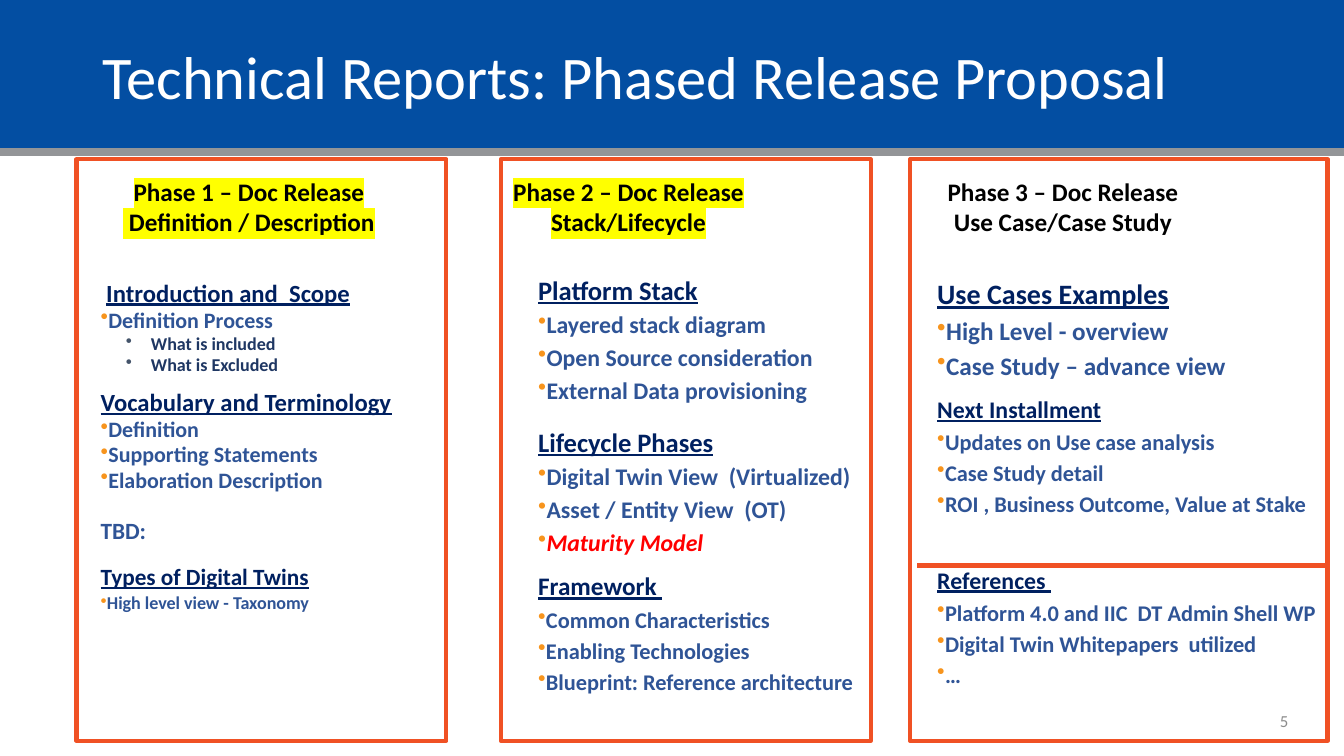
from dataclasses import dataclass, field

from lxml import etree
from pptx import Presentation
from pptx.dml.color import RGBColor
from pptx.enum.shapes import MSO_CONNECTOR, MSO_SHAPE
from pptx.enum.text import MSO_ANCHOR, PP_ALIGN
from pptx.oxml.ns import qn
from pptx.util import Pt

RECTANGLE = MSO_SHAPE.RECTANGLE
STRAIGHT = MSO_CONNECTOR.STRAIGHT
TOP, MIDDLE = MSO_ANCHOR.TOP, MSO_ANCHOR.MIDDLE
LEFT, CENTER = PP_ALIGN.LEFT, PP_ALIGN.CENTER


@dataclass(frozen=True)
class Theme:
    font: str = "Calibri"
    banner: str = "034EA2"
    rule: str = "939598"
    frame: str = "F05124"
    white: str = "FFFFFF"
    black: str = "000000"
    number: str = "8C8C8C"
    heading: str = "002060"
    item: str = "2F5496"
    detail: str = "1F3763"
    alert: str = "FF0000"
    marker: str = "F7941D"
    detail_marker: str = "44546A"
    highlight: str = "FFFF00"
    title_size: float = 43.2
    phase_size: float = 18
    number_size: float = 12
    detail_size: float = 12.9


THEME = Theme()


@dataclass(frozen=True)
class Line:
    text: str
    size: float
    color: str
    spacing: float = 1.0
    before: float = 0
    align: PP_ALIGN = LEFT
    marker: str = ""
    margin: float = 0
    highlight: str = ""
    font: dict[str, bool] = field(default_factory=dict)


@dataclass(frozen=True)
class Area:
    left: float
    top: float
    width: float
    height: float


@dataclass(frozen=True)
class Phase:
    frame: Area
    label: Area
    body: Area
    label_lines: list[str]
    highlight: str
    lines: list[Line]


def heading(text: str, size: float, spacing: float, before: float = 12, margin: float = 0) -> Line:
    return Line(text, size, THEME.heading, spacing, before, margin=margin,
                font={"bold": True, "underline": True})


def items(texts: list[str], size: float, spacing: float = 1.05) -> list[Line]:
    return [Line(text, size, THEME.item, spacing, 2, marker=THEME.marker, font={"bold": True}) for text in texts]


def details(texts: list[str]) -> list[Line]:
    return [Line(text, THEME.detail_size, THEME.detail, 0.85, 2, marker=THEME.detail_marker,
                 margin=36, font={"bold": True}) for text in texts]


def add_indent(para, marker: str, margin: float) -> None:
    properties = para._p.get_or_add_pPr()
    properties.set("marL", str(Pt(margin)))
    if marker:
        properties.set("indent", str(Pt(-18)))
        fill = etree.SubElement(properties, qn("a:buClr"))
        etree.SubElement(fill, qn("a:srgbClr")).set("val", marker)
        etree.SubElement(properties, qn("a:buChar")).set("char", "•")


def add_highlight(span, color: str) -> None:
    mark = etree.Element(qn("a:highlight"))
    etree.SubElement(mark, qn("a:srgbClr")).set("val", color)
    span._r.get_or_add_rPr().find(qn("a:solidFill")).addnext(mark)


def add_text(page, area: Area, lines: list[Line], anchor: MSO_ANCHOR = TOP, wrap: bool = True) -> None:
    box = page.shapes.add_textbox(Pt(area.left), Pt(area.top), Pt(area.width), Pt(area.height))
    frame = box.text_frame
    frame.word_wrap = wrap
    frame.vertical_anchor = anchor
    for index, line in enumerate(lines):
        para = frame.add_paragraph() if index else frame.paragraphs[0]
        add_indent(para, line.marker, line.margin)
        layout = {"alignment": line.align, "line_spacing": line.spacing,
                  "space_before": Pt(line.before if index else 0)}
        for name, value in layout.items():
            setattr(para, name, value)
        span = para.add_run()
        span.text = line.text
        span.font.color.rgb = RGBColor.from_string(line.color)
        for name, value in {"name": THEME.font, "size": Pt(line.size), **line.font}.items():
            setattr(span.font, name, value)
        if line.highlight:
            add_highlight(span, line.highlight)


def add_rule(page, left: float, right: float, height: float, color: str, weight: float) -> None:
    rule = page.shapes.add_connector(STRAIGHT, Pt(left), Pt(height), Pt(right), Pt(height))
    rule.line.color.rgb = RGBColor.from_string(color)
    rule.line.width = Pt(weight)
    etree.SubElement(rule._element.spPr, qn("a:effectLst"))


def add_rectangle(page, area: Area, fill: str = "", line: str = "") -> None:
    shape = page.shapes.add_shape(RECTANGLE, Pt(area.left), Pt(area.top), Pt(area.width), Pt(area.height))
    shape.shadow.inherit = False
    if fill:
        shape.fill.solid()
        shape.fill.fore_color.rgb = RGBColor.from_string(fill)
    else:
        shape.fill.background()
    if line:
        shape.line.color.rgb = RGBColor.from_string(line)
        shape.line.width = Pt(3)
    else:
        shape.line.fill.background()


def add_phase(page, phase: Phase) -> None:
    add_text(page, phase.body, phase.lines)
    add_rectangle(page, phase.frame, line=THEME.frame)
    label = [Line(text, THEME.phase_size, THEME.black, align=CENTER, highlight=phase.highlight,
                  font={"bold": True}) for text in phase.label_lines]
    add_text(page, phase.label, label, wrap=False)


FIRST_LINES = [
    heading("Introduction and  Scope", 17.6, 0.85, margin=4),
    *items(["Definition Process"], 15.7, 0.85),
    *details(["What is included", "What is Excluded"]),
    heading("Vocabulary and Terminology", 17.6, 0.85),
    *items(["Definition", "Supporting Statements", "Elaboration Description"], 15.7, 0.85),
    Line("TBD:", 16.6, THEME.item, 0.85, 20, font={"bold": True}),
    heading("Types of Digital Twins", 16.6, 1.05),
    *items(["High level view - Taxonomy"], THEME.detail_size, 0.95),
]
SECOND_LINES = [
    heading("Platform Stack", 19, 1.0),
    *items(["Layered stack diagram", "Open Source consideration", "External Data provisioning"], 17),
    heading("Lifecycle Phases", 19, 1.15),
    *items(["Digital Twin View  (Virtualized)", "Asset / Entity View  (OT)"], 17),
    Line("Maturity Model", 17, THEME.alert, 1.05, 2, marker=THEME.marker, font={"bold": True, "italic": True}),
    heading("Framework ", 18, 0.95),
    *items(["Common Characteristics", "Enabling Technologies", "Blueprint: Reference architecture"], 16),
]
THIRD_LINES = [
    heading("Use Cases Examples", 20, 0.95),
    *items(["High Level - overview", "Case Study – advance view"], 18),
    heading("Next Installment", 17, 0.95),
    *items(["Updates on Use case analysis", "Case Study detail", "ROI , Business Outcome, Value at Stake"], 16),
    heading("References ", 17, 0.95, 36),
    *items(["Platform 4.0 and IIC  DT Admin Shell WP", "Digital Twin Whitepapers  utilized", "…"], 16),
]
PHASES = [
    Phase(Area(54.7, 113.8, 264.2, 415.4), Area(79.9, 122.4, 195.8, 51.1), Area(64.8, 198, 415.4, 267),
          ["Phase 1 – Doc Release", " Definition / Description"], THEME.highlight, FIRST_LINES),
    Phase(Area(357.8, 113.8, 264.2, 415.4), Area(358.6, 122.4, 180.7, 51.1), Area(377.3, 192, 458.6, 331),
          ["Phase 2 – Doc Release", "Stack/Lifecycle"], THEME.highlight, SECOND_LINES),
    Phase(Area(650.2, 113.8, 298.1, 415.4), Area(668.9, 122.4, 180.7, 51.1), Area(662.4, 195.8, 297, 332),
          ["Phase 3 – Doc Release", "Use Case/Case Study"], "", THIRD_LINES),
]


def main() -> None:
    deck = Presentation()
    deck.slide_width, deck.slide_height = Pt(960), Pt(540)
    page = deck.slides.add_slide(deck.slide_layouts[6])
    add_rectangle(page, Area(0, 0, 960, 105.8), fill=THEME.banner)
    add_rule(page, 0, 960, 108.7, THEME.rule, 6)
    title = Line("Technical Reports: Phased Release Proposal", THEME.title_size, THEME.white, 0.9)
    add_text(page, Area(66.2, 5, 858.2, 104.4), [title], MIDDLE)
    for phase in PHASES:
        add_phase(page, phase)
    add_rule(page, 655.2, 946.8, 403.9, THEME.frame, 3)
    number = Line("5", THEME.number_size, THEME.number, align=CENTER)
    add_text(page, Area(894.2, 500.4, 46.1, 28.8), [number], MIDDLE)
    deck.save("out.pptx")


if __name__ == "__main__":
    main()
